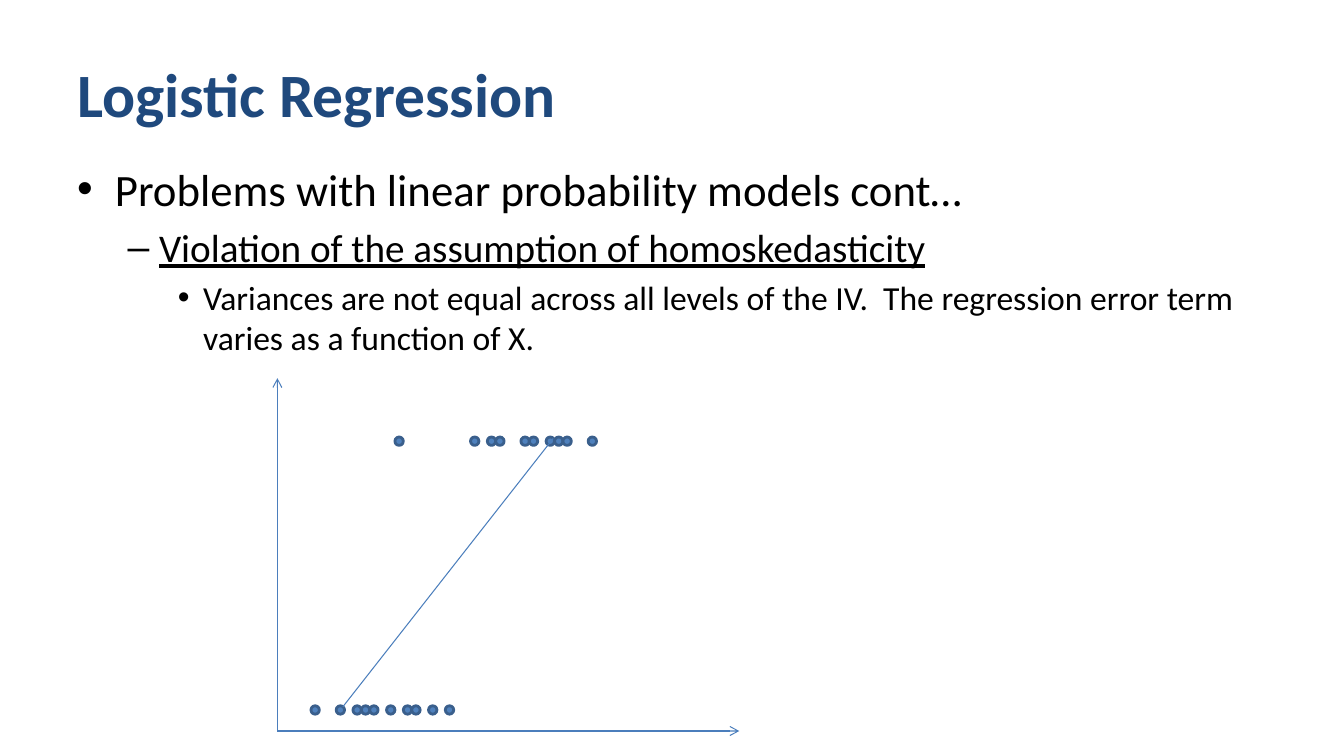
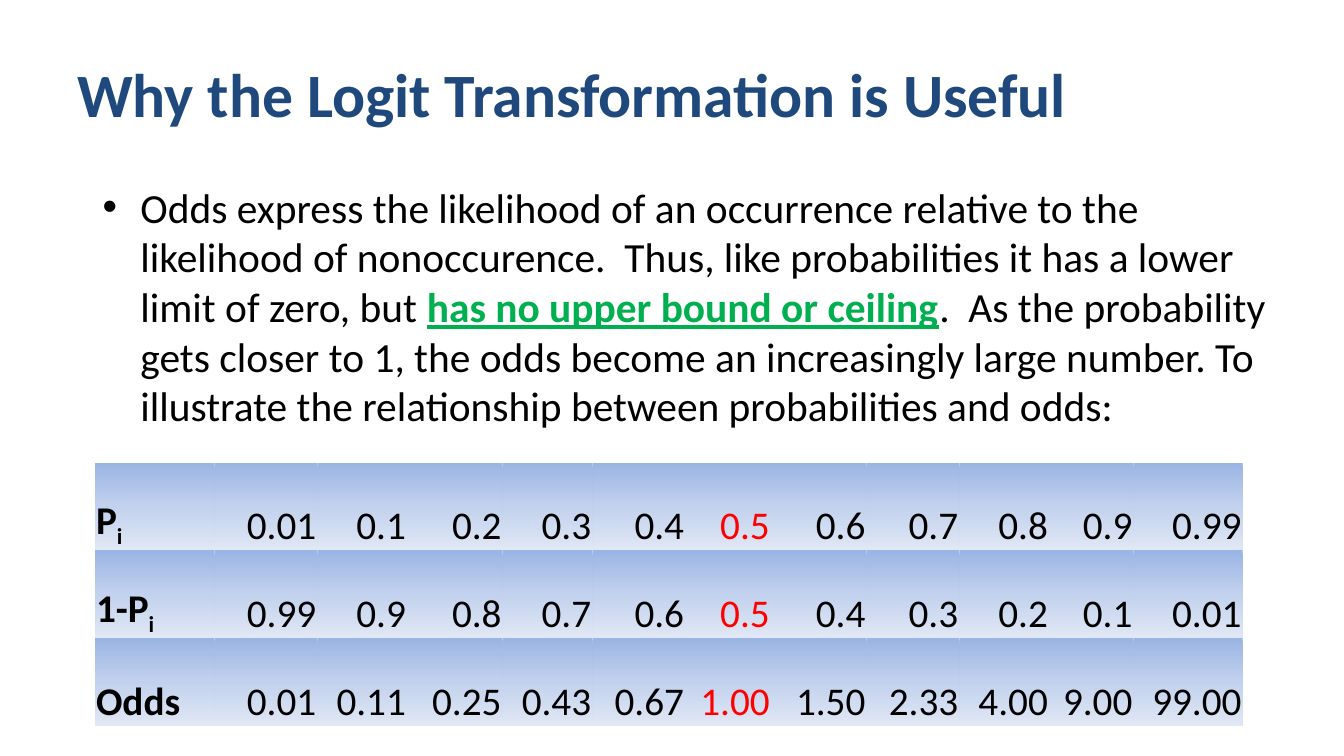
from dataclasses import dataclass, field
from typing import NamedTuple

from lxml.etree import SubElement
from pptx import Presentation
from pptx.dml.color import RGBColor
from pptx.enum.shapes import MSO_CONNECTOR, MSO_SHAPE
from pptx.enum.text import MSO_ANCHOR, MSO_AUTO_SIZE, PP_ALIGN
from pptx.oxml.ns import qn
from pptx.util import Cm, Pt

# Shared look
FONT = "Calibri"
NAVY = RGBColor(0x1F, 0x49, 0x7D)
BLACK = RGBColor(0x00, 0x00, 0x00)
GREEN = RGBColor(0x00, 0xB0, 0x50)
RED = RGBColor(0xFF, 0x00, 0x00)
AXIS_BLUE = RGBColor(0x4B, 0x7E, 0xBC)
DOT_FILL = RGBColor(0x4F, 0x81, 0xBD)
DOT_LINE = RGBColor(0x3A, 0x5F, 0x8C)
CELL_STOPS = {
    0: RGBColor(0x9A, 0xB5, 0xE4),
    50: RGBColor(0xC2, 0xD1, 0xED),
    100: RGBColor(0xE1, 0xE8, 0xF5),
}
NO_TABLE_STYLE = "{2D5ABB26-0587-4C30-8999-92F81FD0307C}"
TITLE_FORMAT = {"size": Pt(44), "bold": True, "color": NAVY}


class Box(NamedTuple):
    """Left, top, width and height in centimetres."""
    left: float
    top: float
    width: float
    height: float


class Point(NamedTuple):
    """A place on the slide in centimetres."""
    x: float
    y: float


@dataclass
class Span:
    text: str
    format: dict = field(default_factory=dict)


@dataclass
class Item:
    level: int
    size: float
    spans: list[Span]


@dataclass
class DotRow:
    height: int
    slots: list[int]


TITLE_BOX = Box(1.69, 0.76, 30.48, 3.18)

# Scatter plot, measured in dot widths from the origin
ORIGIN = Point(6.99, 18.42)
DOT = 2.54 / 12
DOT_ROWS = [
    DotRow(35, [14, 23, 25, 26, 29, 30, 32, 33, 34, 37]),
    DotRow(3, [4, 7, 9, 10, 11, 13, 15, 16, 18, 20]),
]

# Odds table
TABLE_BOX = Box(2.39, 11.66, 28.93, 6.63)
COLUMNS = [3.02, 2.59, 2.26, 2.41, 2.26, 2.34, 2.16, 2.41, 2.34, 2.26, 2.13, 2.75]
SUBSCRIPT = Span("i", {"bold": True, "baseline": -25000})
ODDS_ROWS = [
    ([Span("P", {"bold": True}), SUBSCRIPT],
     "0.01 0.1 0.2 0.3 0.4 0.5 0.6 0.7 0.8 0.9 0.99"),
    ([Span("1-P", {"bold": True}), SUBSCRIPT],
     "0.99 0.9 0.8 0.7 0.6 0.5 0.4 0.3 0.2 0.1 0.01"),
    ([Span("Odds", {"bold": True})],
     "0.01 0.11 0.25 0.43 0.67 1.00 1.50 2.33 4.00 9.00 99.00"),
]
EVEN_ODDS_COLUMN = 6


def place(sp, box: Box) -> None:
    for name, value in box._asdict().items():
        setattr(sp, name, Cm(value))


def add_spans(p, spans: list[Span], base: dict) -> None:
    for span in spans:
        r = p.add_run()
        r.text = span.text
        for name, value in ({"name": FONT, "color": BLACK} | base | span.format).items():
            if name == "color":
                r.font.color.rgb = value
            elif name == "baseline":
                r._r.get_or_add_rPr().set("baseline", str(value))
            else:
                setattr(r.font, name, value)


def add_slide(prs, title: str, body_box: Box, items: list[Item]):
    """Add a slide with the shared title style and a bulleted body."""
    slide = prs.slides.add_slide(prs.slide_layouts[1])
    sp = slide.shapes.title
    place(sp, TITLE_BOX)
    p = sp.text_frame.paragraphs[0]
    p.alignment = PP_ALIGN.LEFT
    add_spans(p, [Span(title)], TITLE_FORMAT)

    body = slide.placeholders[1]
    place(body, body_box)
    tf = body.text_frame
    tf.auto_size = MSO_AUTO_SIZE.NONE
    for i, item in enumerate(items):
        p = tf.add_paragraph() if i else tf.paragraphs[0]
        p.level = item.level
        add_spans(p, item.spans, {"size": Pt(item.size)})
    return slide


def add_line(slide, start: Point, end: Point, arrow: bool = False) -> None:
    line = slide.shapes.add_connector(
        MSO_CONNECTOR.STRAIGHT, *(Cm(v) for v in (*start, *end)))
    line.line.color.rgb = AXIS_BLUE
    line.line.width = Pt(0.75)
    if arrow:
        SubElement(line.line._get_or_add_ln(), qn("a:tailEnd"), type="arrow")
    SubElement(line._element.spPr, qn("a:effectLst"))


def add_dot(slide, left: float, top: float) -> None:
    sp = slide.shapes.add_shape(
        MSO_SHAPE.FLOWCHART_CONNECTOR, Cm(left), Cm(top), Cm(DOT), Cm(DOT))
    sp.shadow.inherit = False
    sp.fill.solid()
    sp.fill.fore_color.rgb = DOT_FILL
    sp.line.color.rgb = DOT_LINE
    sp.line.width = Pt(2)


def fill_gradient(cell) -> None:
    grad = SubElement(cell._tc.get_or_add_tcPr(), qn("a:gradFill"), rotWithShape="1")
    stops = SubElement(grad, qn("a:gsLst"))
    for percent, color in CELL_STOPS.items():
        stop = SubElement(stops, qn("a:gs"), pos=str(percent * 1000))
        SubElement(stop, qn("a:srgbClr"), val=str(color))
    SubElement(grad, qn("a:lin"), ang="5400000", scaled="0")


def add_odds_table(slide) -> None:
    table = slide.shapes.add_table(
        len(ODDS_ROWS), len(COLUMNS), *(Cm(v) for v in TABLE_BOX)).table
    table.first_row = table.horz_banding = False
    table._tbl.tblPr.find(qn("a:tableStyleId")).text = NO_TABLE_STYLE
    for column, width in zip(table.columns, COLUMNS):
        column.width = Cm(width)

    cell_format = {
        "vertical_anchor": MSO_ANCHOR.BOTTOM,
        "margin_left": Cm(0.03),
        "margin_top": Cm(0.03),
        "margin_right": Cm(0.03),
        "margin_bottom": 0,
    }
    for row, (label, values) in zip(table.rows, ODDS_ROWS):
        row.height = Cm(TABLE_BOX.height / len(ODDS_ROWS))
        contents = [label] + [[Span(value)] for value in values.split()]
        for i, (cell, spans) in enumerate(zip(row.cells, contents)):
            for name, value in cell_format.items():
                setattr(cell, name, value)
            p = cell.text_frame.paragraphs[0]
            p.alignment = PP_ALIGN.RIGHT if i else PP_ALIGN.LEFT
            color = RED if i == EVEN_ODDS_COLUMN else BLACK
            add_spans(p, spans, {"size": Pt(28), "color": color})
            fill_gradient(cell)


def build_scatter_slide(prs) -> None:
    slide = add_slide(prs, "Logistic Regression", Box(1.69, 3.94, 30.68, 4.9), [
        Item(0, 32, [Span("Problems with linear probability models cont…")]),
        Item(1, 28, [Span("Violation of the assumption of homoskedasticity",
                          {"underline": True})]),
        Item(2, 24, [Span("Variances are not equal across all levels of the IV.  "
                          "The regression error term varies as a function of X.")]),
    ])
    # Axes
    add_line(slide, ORIGIN, Point(ORIGIN.x, 9.53), arrow=True)
    add_line(slide, ORIGIN, Point(18.63, ORIGIN.y), arrow=True)
    # Observations
    for row in DOT_ROWS:
        for slot in row.slots:
            add_dot(slide, ORIGIN.x + slot * DOT, ORIGIN.y - row.height * DOT)
    # Fitted line
    add_line(slide, Point(8.64, 17.81), Point(13.94, 11.05))


def build_odds_slide(prs) -> None:
    slide = add_slide(
        prs, "Why the Logit Transformation is Useful", Box(2.33, 4.45, 30.48, 7.2), [
            Item(0, 29.6, [
                Span("Odds express the likelihood of an occurrence relative to the "
                     "likelihood of nonoccurence.  Thus, like probabilities it has a "
                     "lower limit of zero, but "),
                Span("has no upper bound or ceiling",
                     {"color": GREEN, "bold": True, "underline": True}),
                Span(".  As the probability gets closer to 1, the odds become an "
                     "increasingly large number. To illustrate the relationship "
                     "between probabilities and odds:"),
            ]),
        ])
    add_odds_table(slide)


def main() -> None:
    prs = Presentation()
    prs.slide_width, prs.slide_height = Cm(33.87), Cm(19.05)
    build_scatter_slide(prs)
    build_odds_slide(prs)
    prs.save("out.pptx")


if __name__ == "__main__":
    main()
